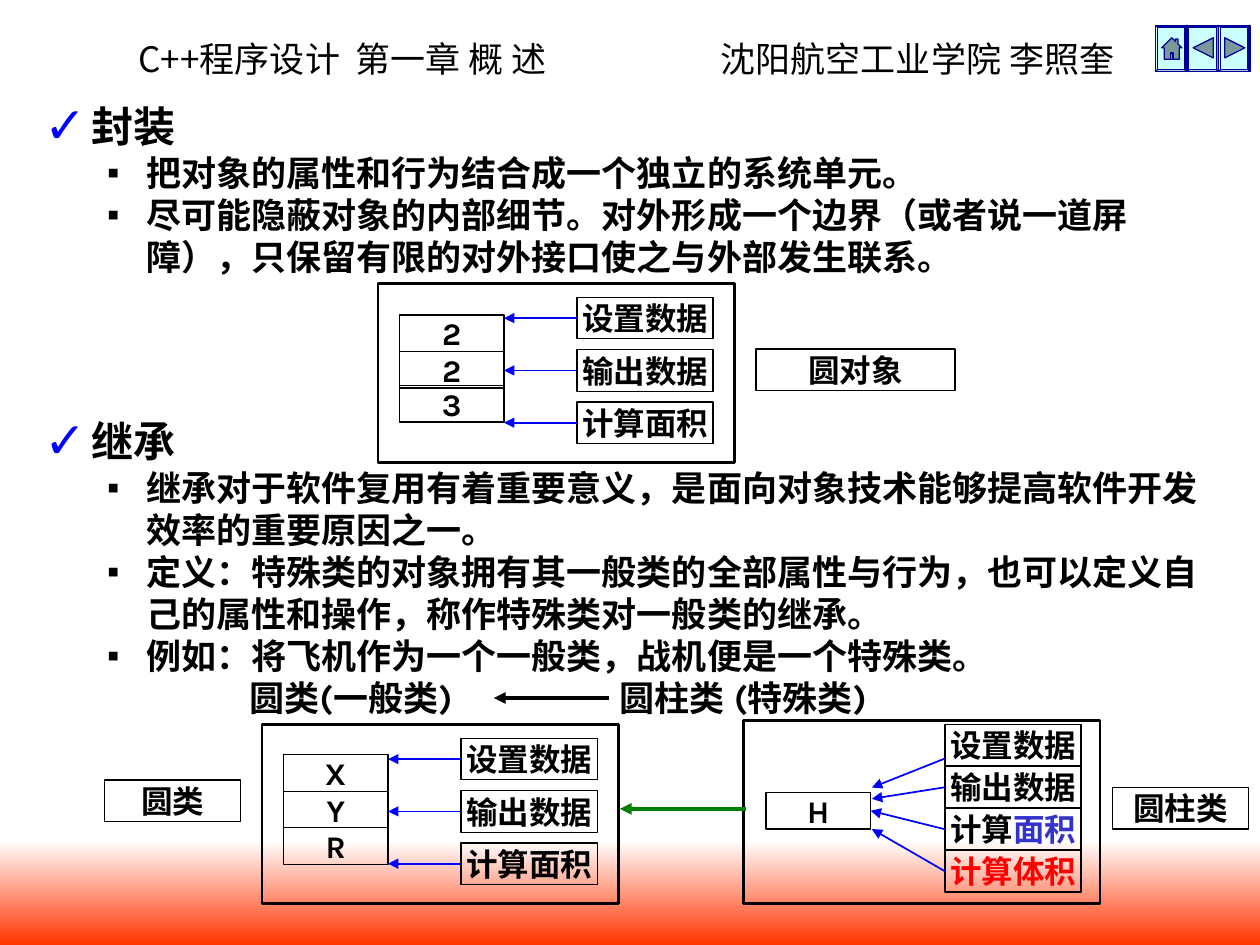
import dataclasses

import pptx
import pptx.dml.color
import pptx.enum.shapes
import pptx.enum.text
import pptx.oxml
import pptx.oxml.ns
import pptx.util
from lxml import etree

Inches, Pt = pptx.util.Inches, pptx.util.Pt
RGB = pptx.dml.color.RGBColor.from_string
MSO_SHAPE = pptx.enum.shapes.MSO_SHAPE
PP_ALIGN = pptx.enum.text.PP_ALIGN
ANCHOR = pptx.enum.text.MSO_ANCHOR
qn = pptx.oxml.ns.qn


@dataclasses.dataclass(frozen=True)
class Theme:
    black: str = "000000"
    white: str = "FFFFFF"
    blue: str = "0000FF"
    green: str = "008000"
    red: str = "FF0000"
    indigo: str = "3333CC"
    footer: str = "FF3300"
    button: str = "CCFFFF"
    button_icon: str = "7A9999"
    button_line: str = "000099"
    heading: int = 24
    body: int = 20
    label: int = 18
    font: str = "Karla"
    header_font: str = "Noto Sans CJK SC"
    header_alt_font: str = "Noto Sans CJK JP"


T = Theme()


def write(p, text, size=T.label, color=T.black, bold=True, font=T.font):
    """Append one run to paragraph p."""
    r = p.add_run()
    r.text = text
    r.font.size, r.font.bold, r.font.name = Pt(size), bold, font
    r.font.color.rgb = RGB(color)
    etree.SubElement(r.font._element, qn("a:ea"), typeface=font)


def box(x, y, w, h, *runs, line=0.75):
    """Outlined rectangle with a centred label made of (text, colour) runs."""
    sp = s.shapes.add_shape(MSO_SHAPE.RECTANGLE, Inches(x), Inches(y), Inches(w), Inches(h))
    sp.shadow.inherit = False
    sp.fill.background()
    sp.line.color.rgb = RGB(T.black)
    sp.line.width = Pt(line)
    tf = sp.text_frame
    tf.word_wrap = False
    tf.vertical_anchor = ANCHOR.MIDDLE
    tf.paragraphs[0].alignment = PP_ALIGN.CENTER
    for text, color in runs:
        write(tf.paragraphs[0], text, color=color)
    return sp


prs = pptx.Presentation()
prs.slide_width, prs.slide_height = Inches(10), Inches(7.5)
s = prs.slides.add_slide(prs.slide_layouts[3])
header, *lists = s.placeholders

# Placeholder frames
frames = [(header, 1, 0.25, 8.25, 0.44), (lists[0], 0.25, 0.75, 9.42, 1.75),
          (lists[1], 0.25, 3.25, 9.42, 2.42)]
for sp, x, y, w, h in frames:
    sp.left, sp.top, sp.width, sp.height = Inches(x), Inches(y), Inches(w), Inches(h)
    sp.text_frame.auto_size = pptx.enum.text.MSO_AUTO_SIZE.NONE
    sp.text_frame.word_wrap = True
    sp.text_frame.vertical_anchor = ANCHOR.TOP

# Running header
p = header.text_frame.paragraphs[0]
p.alignment = PP_ALIGN.LEFT
tabs = etree.SubElement(p._p.get_or_add_pPr(), qn("a:tabLst"))
etree.SubElement(tabs, qn("a:tab"), pos=str(Inches(4.62)), algn="l")
p.line_spacing = Pt(T.body * 1.2)
for text, font in [("C++程序设计 ", T.header_alt_font), (" 第一章 概 述\t", T.header_font),
                   ("沈阳航空工业学院 ", T.header_alt_font), ("李照奎", T.header_font)]:
    write(p, text, size=T.body, bold=False, font=font)

# Lists: a heading followed by its points
sections = [
    ["封装", "把对象的属性和行为结合成一个独立的系统单元。",
     "尽可能隐蔽对象的内部细节。对外形成一个边界（或者说一道屏障），只保留有限的对外接口使之与外部发生联系。"],
    ["继承", "继承对于软件复用有着重要意义，是面向对象技术能够提高软件开发效率的重要原因之一。",
     "定义：特殊类的对象拥有其一般类的全部属性与行为，也可以定义自己的属性和操作，称作特殊类对一般类的继承。",
     "例如：将飞机作为一个一般类，战机便是一个特殊类。"],
]
for sp, texts in zip(lists, sections):
    tf = sp.text_frame
    for i, text in enumerate(texts):
        p = tf.paragraphs[0] if i == 0 else tf.add_paragraph()
        size = T.body if i else T.heading
        margin, hanging, char, color, percent = (
            (0.81, 0.31, "▪", T.black, 100) if i else (0.38, 0.38, "✓", T.blue, 120))
        pPr = p._p.get_or_add_pPr()
        clr = etree.SubElement(pPr, qn("a:buClr"))
        etree.SubElement(clr, qn("a:srgbClr"), val=color)
        etree.SubElement(pPr, qn("a:buSzPct"), val=str(percent * 1000))
        etree.SubElement(pPr, qn("a:buChar"), char=char)
        p.level = 1 if i else 0
        pPr.set("marL", str(Inches(margin)))
        pPr.set("indent", str(-Inches(hanging)))
        pPr.set("hangingPunct", "0")
        p.alignment = PP_ALIGN.LEFT
        p.space_before = Pt(0)
        p.line_spacing = Pt(size * 1.2)
        write(p, text, size=size)

# Class names on either side of the inheritance arrow
for x, name in [(1.88, "圆类(一般类)"), (4.82, "圆柱类 (特殊类)")]:
    tf = s.shapes.add_textbox(Inches(x), Inches(5.32), Inches(2.4), Inches(0.43)).text_frame
    tf.word_wrap = True
    tf.paragraphs[0].line_spacing = Pt(T.body * 1.2)
    write(tf.paragraphs[0], name, size=T.body)

# Footer band
sp = s.shapes.add_shape(MSO_SHAPE.RECTANGLE, 0, Inches(6.67), Inches(10), Inches(0.83))
sp.shadow.inherit = False
sp.fill.gradient()
sp.fill.gradient_angle = 270
for stop, color in zip(sp.fill.gradient_stops, (T.white, T.footer)):
    stop.color.rgb = RGB(color)
sp.line.fill.background()

# Navigation buttons
house = [(9.3, 0.3), (9.33, 0.33), (9.33, 0.31), (9.35, 0.31), (9.35, 0.35), (9.38, 0.38),
         (9.36, 0.38), (9.36, 0.47), (9.24, 0.47), (9.24, 0.38), (9.22, 0.38)]
door = [(9.29, 0.42), (9.31, 0.42), (9.31, 0.47), (9.29, 0.47)]
back = [(9.47, 0.38), (9.63, 0.3), (9.63, 0.46)]
forward = [(9.72, 0.3), (9.88, 0.38), (9.72, 0.46)]
for i, outlines in enumerate([[house, door], [back], [forward]]):
    button = s.shapes.add_shape(MSO_SHAPE.BEVEL, Inches(9.17 + 0.25 * i), Inches(0.2),
                                Inches(0.25), Inches(0.37))
    button.adjustments[0] = 0.06
    parts = [(button, T.button)]
    for outline in outlines:
        points = [(Inches(x), Inches(y)) for x, y in outline]
        builder = s.shapes.build_freeform(*points[0], scale=1.0)
        builder.add_line_segments(points[1:], close=True)
        parts.append((builder.convert_to_shape(), T.button_icon))
    for sp, color in parts:
        sp.shadow.inherit = False
        sp.fill.solid()
        sp.fill.fore_color.rgb = RGB(color)
        sp.line.color.rgb = RGB(T.button_line)
        sp.line.width = Pt(0.75)

# Arrows: start, end, colour, width, box joined at its left, box joined at its right
arrows = [((5.92, 6.42), (4.92, 6.42), T.green, 2.25, None, None),
          ((4.83, 5.54), (3.92, 5.54), T.black, 2.25, None, None)]

# Circle object and circle class: fields reached only through methods
methods = ["设置数据", "输出数据", "计算面积"]
circles = [(3, 2.25, (2.5, 2.79, 3.06), "223"), (2.08, 5.75, (5.99, 6.28, 6.57), "XYR")]
for left, top, field_tops, fields in circles:
    box(left, top, 2.83, 1.42, line=1.5)
    for y, name in zip(field_tops, fields):
        box(left + 0.17, y, 0.83, 0.29, (name, T.black))
    for i, name in enumerate(methods):
        y = top + 0.11 + 0.415 * i
        method = box(left + 1.58, y, 1.08, 0.33, (name, T.black))
        arrows.append(((left + 1.58, y + 0.165), (left + 1, y + 0.165), T.blue, 1,
                       method, None))

# Cylinder class: inherited, overridden and new methods
box(5.9, 5.72, 2.83, 1.45, line=1.5)
height = box(6.08, 6.29, 0.83, 0.29, ("H", T.black))
cylinder = [([("设置数据", T.black)], 6.02, 6.25), ([("输出数据", T.black)], 6.26, 6.34),
            ([("计算", T.black), ("面积", T.indigo)], 6.58, 6.44),
            ([("计算体积", T.red)], 6.92, 6.58)]
for i, (runs, y1, y2) in enumerate(cylinder):
    method = box(7.5, 5.75 + i / 3, 1.08, 0.33, *runs)
    arrows.append(((7.5, y1), (6.92, y2), T.blue, 1,
                   method if i else None, height if i == 2 else None))

# Captions
for x, y, w, name in [(6, 2.77, 1.58, "圆对象"), (0.83, 6.19, 1.08, "圆类"),
                      (8.83, 6.25, 1.08, "圆柱类")]:
    box(x, y, w, 0.33, (name, T.black))

for start, end, color, width, source, target in arrows:
    c = s.shapes.add_connector(pptx.enum.shapes.MSO_CONNECTOR.STRAIGHT,
                               *map(Inches, start), *map(Inches, end))
    if source:
        c.begin_connect(source, 1)
    if target:
        c.end_connect(target, 3)
    c.line.color.rgb = RGB(color)
    c.line.width = Pt(width)
    etree.SubElement(c.line._get_or_add_ln(), qn("a:tailEnd"), type="triangle")
    etree.SubElement(c._element.spPr, qn("a:effectLst"))

prs.save("out.pptx")
